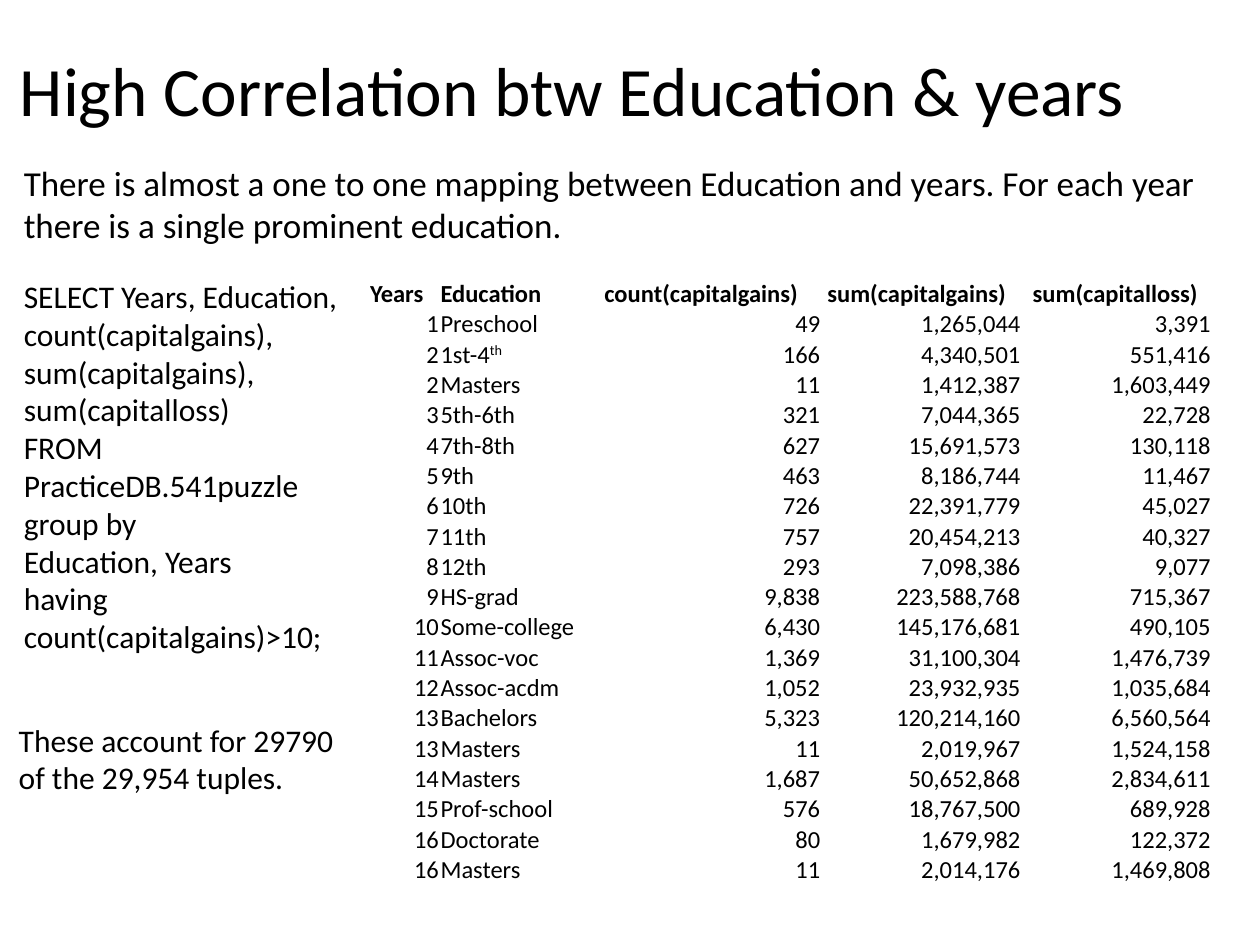
from pptx import Presentation
from pptx.dml.color import RGBColor
from pptx.enum.text import MSO_ANCHOR, PP_ALIGN
from pptx.util import Inches, Pt

TOP, MIDDLE, BOTTOM = MSO_ANCHOR.TOP, MSO_ANCHOR.MIDDLE, MSO_ANCHOR.BOTTOM
LEFT, RIGHT = PP_ALIGN.LEFT, PP_ALIGN.RIGHT
FONT, BLACK = "Calibri", "000000"
CELL_MARGIN = Pt(0.5)

# paragraphs, (left, top, width, height), size, anchor
TEXTS = [
    (["High Correlation btw Education & years"],
     (0.06, 0.08, 9.9, 1.25), 39.6, MIDDLE),
    (["There is almost a one to one mapping between Education and years. "
      "For each year there is a single prominent education."],
     (0.09, 1.23, 9.62, 0.77), 20, TOP),
    (["SELECT Years, Education, count(capitalgains), sum(capitalgains), sum(capitalloss)",
      "FROM PracticeDB.541puzzle group by",
      "Education, Years",
      "having count(capitalgains)>10;"],
     (0.09, 2.15, 2.75, 3.13), 18, TOP),
    (["These account for 29790 of the 29,954 tuples."],
     (0.05, 5.67, 2.75, 0.71), 18, TOP),
]

# heading, width, alignment of the values, right margin of the values
COLUMNS = [
    ("Years", 0.56, RIGHT, CELL_MARGIN),
    ("Education", 1.3, LEFT, CELL_MARGIN),
    ("count(capitalgains)", 1.77, RIGHT, Inches(0.05)),
    ("sum(capitalgains)", 1.63, RIGHT, Inches(0.09)),
    ("sum(capitalloss)", 1.52, RIGHT, Inches(0.1)),
]
ROWS = [
    (1, "Preschool", 49, 1265044, 3391),
    (2, "1st-4^th", 166, 4340501, 551416),  # ^ starts a superscript
    (2, "Masters", 11, 1412387, 1603449),
    (3, "5th-6th", 321, 7044365, 22728),
    (4, "7th-8th", 627, 15691573, 130118),
    (5, "9th", 463, 8186744, 11467),
    (6, "10th", 726, 22391779, 45027),
    (7, "11th", 757, 20454213, 40327),
    (8, "12th", 293, 7098386, 9077),
    (9, "HS-grad", 9838, 223588768, 715367),
    (10, "Some-college", 6430, 145176681, 490105),
    (11, "Assoc-voc", 1369, 31100304, 1476739),
    (12, "Assoc-acdm", 1052, 23932935, 1035684),
    (13, "Bachelors", 5323, 120214160, 6560564),
    (13, "Masters", 11, 2019967, 1524158),
    (14, "Masters", 1687, 50652868, 2834611),
    (15, "Prof-school", 576, 18767500, 689928),
    (16, "Doctorate", 80, 1679982, 122372),
    (16, "Masters", 11, 2014176, 1469808),
]
TABLE_LEFT, TABLE_TOP, ROW_HEIGHT = 2.93, 2.21, 0.23


def style(font, size, bold=False, color=BLACK):
    font.name, font.size, font.bold = FONT, Pt(size), bold
    font.color.rgb = RGBColor.from_string(color)


def add_text(slide, paragraphs, place, size, anchor):
    frame = slide.shapes.add_textbox(*map(Inches, place)).text_frame
    frame.word_wrap = True
    frame.vertical_anchor = anchor
    frame.text = "\n".join(paragraphs)
    for paragraph in frame.paragraphs:
        for run in paragraph.runs:
            style(run.font, size)


def fill_cell(cell, value, align, right_margin, bold):
    cell.fill.background()
    cell.vertical_anchor = BOTTOM
    cell.margin_left = cell.margin_top = CELL_MARGIN
    cell.margin_right, cell.margin_bottom = right_margin, 0
    paragraph = cell.text_frame.paragraphs[0]
    paragraph.alignment = align
    label = value if isinstance(value, str) else f"{value:,}"
    for part, piece in enumerate(label.split("^")):
        run = paragraph.add_run()
        run.text = piece
        style(run.font, 14, bold)
        if part:
            run.font._element.set("baseline", "30000")


def add_results(slide):
    widths = [width for _, width, _, _ in COLUMNS]
    row_count = len(ROWS) + 1
    table = slide.shapes.add_table(
        row_count, len(COLUMNS), Inches(TABLE_LEFT), Inches(TABLE_TOP),
        Inches(sum(widths)), Inches(ROW_HEIGHT * row_count)).table
    table.first_row = table.horz_banding = False
    for row in table.rows:
        row.height = Inches(ROW_HEIGHT)
    for c, (heading, width, align, margin) in enumerate(COLUMNS):
        table.columns[c].width = Inches(width)
        fill_cell(table.cell(0, c), heading, LEFT, CELL_MARGIN, True)
        for r, record in enumerate(ROWS, 1):
            fill_cell(table.cell(r, c), record[c], align, margin, False)


def main():
    prs = Presentation()
    prs.slide_width, prs.slide_height = Inches(10), Inches(7.5)
    slide = prs.slides.add_slide(prs.slide_layouts[6])
    for text in TEXTS:
        add_text(slide, *text)
    add_results(slide)
    prs.save("out.pptx")


if __name__ == "__main__":
    main()
